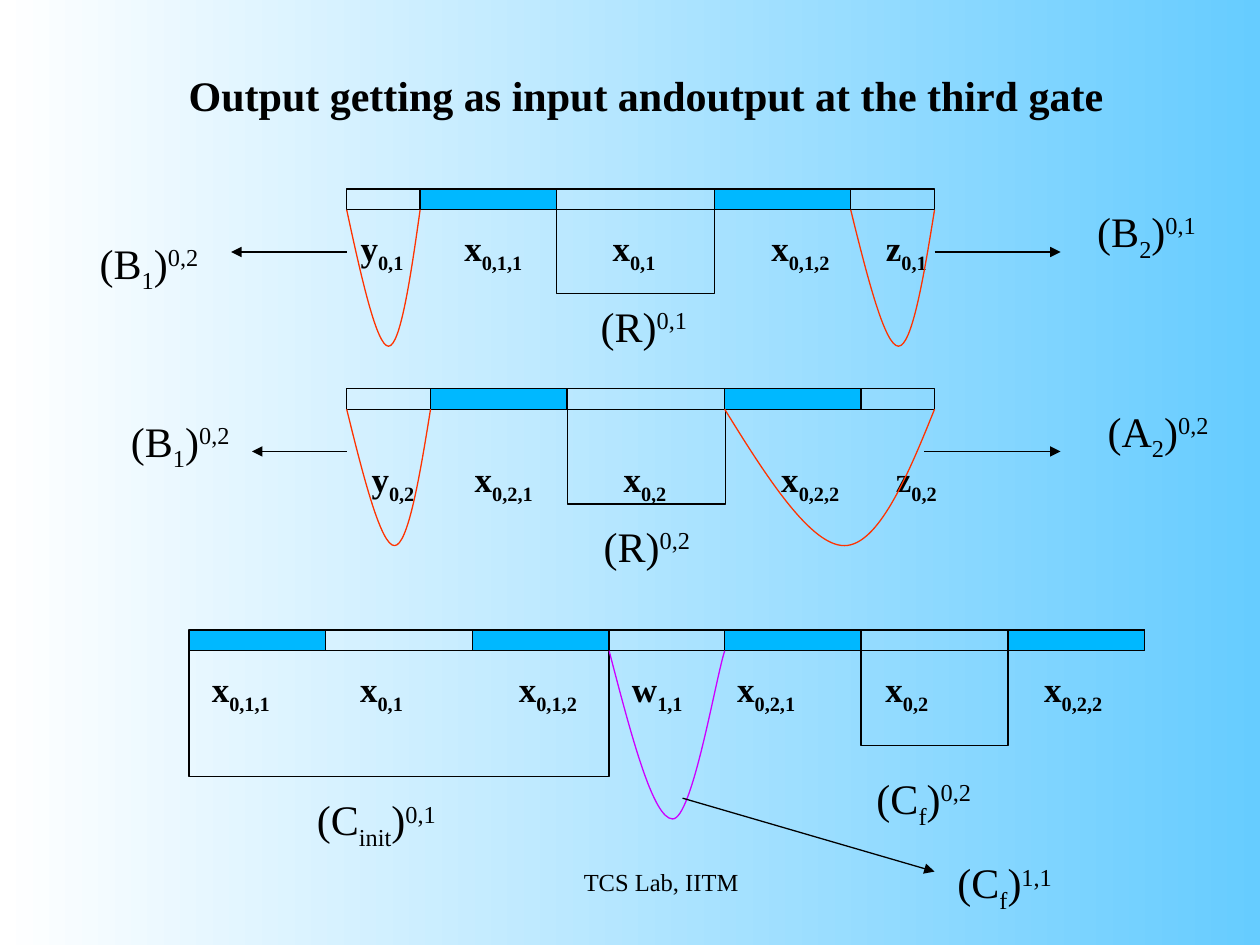
from lxml.etree import SubElement
from pptx import Presentation
from pptx.dml.color import RGBColor
from pptx.enum.shapes import MSO_CONNECTOR, MSO_SHAPE
from pptx.enum.text import MSO_AUTO_SIZE, PP_ALIGN
from pptx.oxml.ns import qn
from pptx.util import Cm, Pt

COLORS = {
    "ink": "000000", "segment": "00B8FF", "gate": "FF3300",
    "output": "CC00FF", "sky": "66CCFF", "white": "FFFFFF",
}
FONTS = {
    "term": {"name": "Times New Roman", "size": Pt(20), "bold": True},
    "label": {"name": "Times New Roman", "size": Pt(24), "bold": False},
    "title": {"name": "Times New Roman", "size": Pt(24), "bold": True},
    "footer": {"name": "Times New Roman", "size": Pt(14), "bold": False},
}
STRIP_HEIGHT = 0.42
SEGMENT_WIDTH = 2.75
EVEN_CURVE = [(0.2, 0.5), (0.41, 1), (0.57, 1), (0.73, 1), (0.87, 0.5), (1, 0)]
SKEWED_CURVE = [(0.19, 0.5), (0.38, 1), (0.55, 1), (0.72, 1), (0.92, 0.17), (1, 0)]

FIRST_GATE = {
    "frames": [(0, 11.85)],
    "segments": [1.48, 7.41],
    "brackets": [(4.23, 3.18, 1.69)],
    "curves": [(0, 1.48, 2.75, EVEN_CURVE, "gate"), (10.16, 1.69, 2.75, EVEN_CURVE, "gate")],
    "term_top": 0.64,
    "terms": [
        (0.03, 1.4, False, "y", "0,1"), (2.12, 1.91, True, "x", "0,1,1"),
        (5.11, 1.4, False, "x", "0,1"), (8.31, 1.7, False, "x", "0,1,2"),
        (10.62, 1.4, False, "z", "0,1"),
    ],
    "arrows": [(0, 1.27, -2.33, 1.27), (11.85, 1.27, 14.39, 1.27)],
    "labels": [
        (14.88, 0.21, 2.52, False, "B", "2", "0,1"),
        (4.87, 2.12, 3.81, True, "R", "", "0,1"),
        (-5.23, 0.85, 2.52, False, "B", "1", "0,2"),
    ],
}
SECOND_GATE = {
    "frames": [(0, 11.85)],
    "segments": [1.69, 7.62],
    "brackets": [(4.45, 3.18, 1.91)],
    "curves": [(0, 1.69, 2.75, EVEN_CURVE, "gate"), (7.62, 4.23, 2.75, EVEN_CURVE, "gate")],
    "term_top": 1.27,
    "terms": [
        (0.25, 1.4, False, "y", "0,2"), (2.33, 1.91, True, "x", "0,2,1"),
        (5.33, 1.4, False, "x", "0,2"), (8.51, 1.7, False, "x", "0,2,2"),
        (10.82, 1.4, False, "z", "0,2"),
    ],
    "arrows": [(0, 1.27, -1.91, 1.27), (11.64, 1.27, 14.39, 1.27)],
    "labels": [
        (-4.6, 0.42, 2.52, False, "B", "1", "0,2"),
        (15.09, 0.21, 2.56, False, "A", "2", "0,2"),
        (4.93, 2.54, 2.34, False, "R", "", "0,2"),
    ],
}
THIRD_GATE = {
    "frames": [(0.21, 8.26), (11.01, 8.26), (8.47, 2.33)],
    "segments": [0, 5.72, 10.8, 16.51],
    "brackets": [(0, 8.47, 2.54), (13.55, 2.96, 1.91)],
    "curves": [(8.47, 2.33, 3.39, SKEWED_CURVE, "output")],
    "term_top": 0.64,
    "terms": [
        (0.21, 1.91, True, "x", "0,1,1"), (3.2, 1.4, False, "x", "0,1"),
        (6.4, 1.7, False, "x", "0,1,2"), (8.68, 2.11, True, "w", "1,1"),
        (10.8, 1.91, True, "x", "0,2,1"), (13.79, 1.4, False, "x", "0,2"),
        (16.99, 1.7, False, "x", "0,2,2"),
    ],
    "arrows": [(9.95, 3.39, 15.03, 4.87)],
    "labels": [
        (2.33, 3.18, 5.51, True, "C", "init", "0,1"),
        (13.61, 2.75, 2.44, False, "C", "f", "0,2"),
        (15.24, 4.45, 4.65, True, "C", "f", "1,1"),
    ],
}


def color(name):
    """Return the named colour."""
    return RGBColor.from_string(COLORS[name])


def style_line(line, name="ink"):
    """Give a line its colour and width."""
    line.color.rgb = color(name)
    line.width = Pt(0.75)


def add_bar(slide, left, top, width, height, fill=None):
    """Add an outlined rectangle, filled if a colour is named."""
    shape = slide.shapes.add_shape(MSO_SHAPE.RECTANGLE, Cm(left), Cm(top), Cm(width), Cm(height))
    shape.shadow.inherit = False
    if fill:
        shape.fill.solid()
        shape.fill.fore_color.rgb = color(fill)
    else:
        shape.fill.background()
    style_line(shape.line)


def add_curve(slide, left, top, width, height, profile, name):
    """Add an open curve of two cubic pieces that hangs from its top corners."""
    builder = slide.shapes.build_freeform(Cm(left), Cm(top))
    points = [(Cm(left + x * width), Cm(top + y * height)) for x, y in profile]
    builder.add_line_segments(points, close=False)
    shape = builder.convert_to_shape()
    shape.shadow.inherit = False
    shape.fill.background()
    style_line(shape.line, name)
    segments = list(shape.element.iter(qn("a:lnTo")))
    outline = segments[0].getparent()
    for start in range(0, len(segments), 3):
        cubic = SubElement(outline, qn("a:cubicBezTo"))
        for segment in segments[start:start + 3]:
            cubic.append(segment[0])
            outline.remove(segment)


def add_arrow(slide, start_x, start_y, end_x, end_y):
    """Add a straight arrow with a triangular head at its end."""
    connector = slide.shapes.add_connector(
        MSO_CONNECTOR.STRAIGHT, Cm(start_x), Cm(start_y), Cm(end_x), Cm(end_y))
    style_line(connector.line)
    properties = connector.element.spPr
    SubElement(properties.find(qn("a:ln")), qn("a:tailEnd"), type="triangle")
    SubElement(properties, qn("a:effectLst"))


def add_text(slide, box, runs, style, wraps=True, alignment=PP_ALIGN.LEFT, grows=True):
    """Add a text box of runs, each with its baseline shift in percent."""
    shape = slide.shapes.add_textbox(*map(Cm, box))
    frame = shape.text_frame
    frame.word_wrap = wraps
    frame.auto_size = MSO_AUTO_SIZE.SHAPE_TO_FIT_TEXT if grows else MSO_AUTO_SIZE.NONE
    paragraph = frame.paragraphs[0]
    paragraph.alignment = alignment
    for text, _ in runs:
        run = paragraph.add_run()
        run.text = text
        for attribute, value in FONTS[style].items():
            setattr(run.font, attribute, value)
        run.font.color.rgb = color("ink")
    for (_, baseline), properties in zip(runs, shape.element.iter(qn("a:rPr"))):
        if baseline:
            properties.set("baseline", str(baseline * 1000))


def draw_gate(slide, left, top, gate):
    """Draw one gate: its strip, brackets, curves, terms, arrows and labels."""
    below = top + STRIP_HEIGHT
    for x, width in gate["frames"]:
        add_bar(slide, left + x, top, width, STRIP_HEIGHT)
    for x in gate["segments"]:
        add_bar(slide, left + x, top, SEGMENT_WIDTH, STRIP_HEIGHT, "segment")
    for x, width, height in gate["brackets"]:
        add_bar(slide, left + x, below, width, height)
    for x, width, wraps, base, subscript in gate["terms"]:
        box = (left + x, top + gate["term_top"], width, 1.22)
        add_text(slide, box, [(base, 0), (subscript, -25)], "term", wraps)
    for x, width, height, profile, name in gate["curves"]:
        add_curve(slide, left + x, below, width, height, profile, name)
    for start_x, start_y, end_x, end_y in gate["arrows"]:
        add_arrow(slide, left + start_x, top + start_y, left + end_x, top + end_y)
    for x, y, width, wraps, base, subscript, superscript in gate["labels"]:
        name = [("(" + base, 0), (subscript, -25), (")", 0)] if subscript else [(f"({base})", 0)]
        box = (left + x, top + y, width, 1.42 if subscript else 1.27)
        add_text(slide, box, name + [(superscript, 30)], "label", wraps)


def draw_background(slide):
    """Fill the background from blue at the right to white at the left."""
    fill = slide.background.fill
    fill.gradient()
    fill.gradient_angle = 180
    for stop, name in zip(fill.gradient_stops, ("sky", "white")):
        stop.color.rgb = color(name)


def main():
    """Build and save the slide."""
    presentation = Presentation()
    presentation.slide_width, presentation.slide_height = Cm(25.4), Cm(19.05)
    slide = presentation.slides.add_slide(presentation.slide_layouts[6])
    draw_background(slide)
    for left, top, gate in ((6.99, 3.81, FIRST_GATE), (6.99, 7.83, SECOND_GATE), (3.81, 12.7, THIRD_GATE)):
        draw_gate(slide, left, top, gate)
    title = "Output getting as input andoutput at the third gate"
    add_text(slide, (3.18, 1.27, 19.69, 1.27), [(title, 0)], "title", alignment=PP_ALIGN.CENTER)
    add_text(slide, (9.31, 17.36, 8.04, 1.27), [("TCS Lab, IITM", 0)], "footer",
             alignment=PP_ALIGN.CENTER, grows=False)
    presentation.save("out.pptx")


if __name__ == "__main__":
    main()
